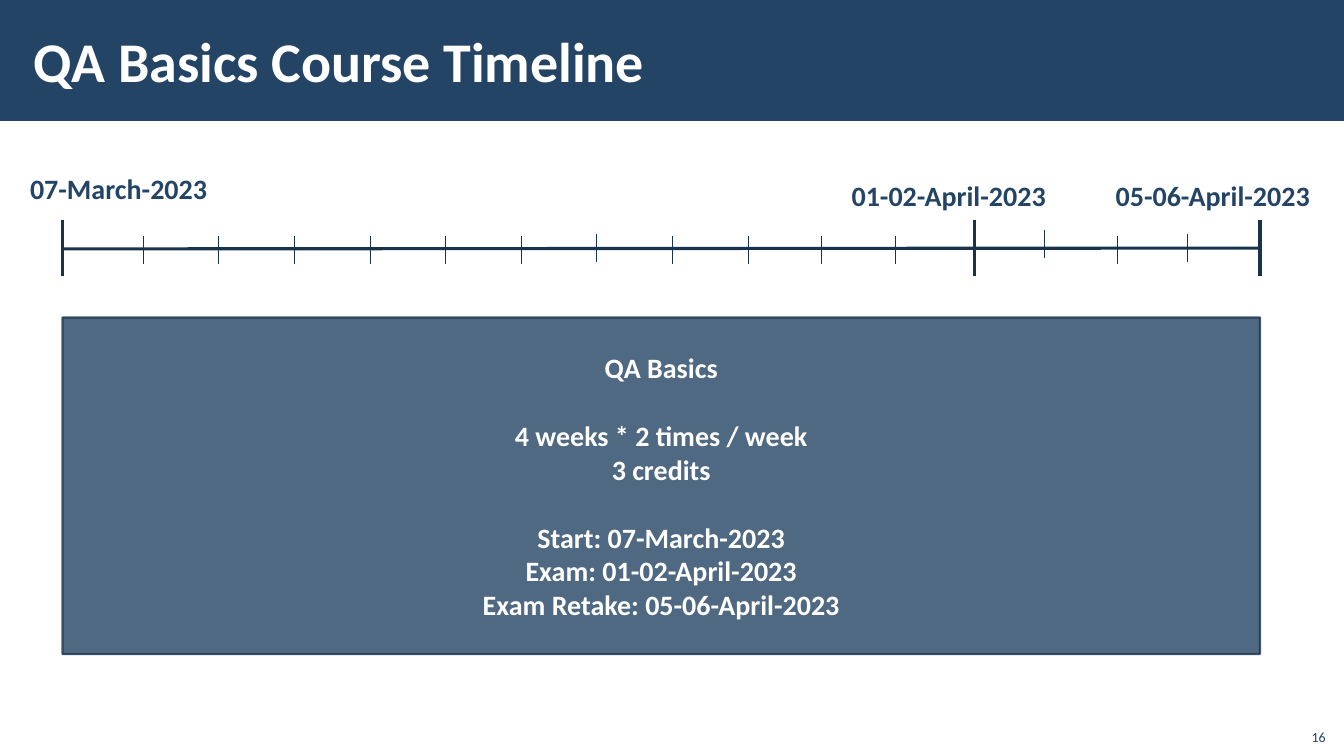
from pptx import Presentation
from pptx.dml.color import RGBColor
from pptx.enum.shapes import MSO_CONNECTOR as Link, MSO_SHAPE as Form
from pptx.enum.text import MSO_ANCHOR as Anchor, MSO_AUTO_SIZE as Fit, PP_ALIGN as Align
from pptx.oxml.ns import qn
from pptx.util import Pt
from lxml.etree import SubElement

NAVY = RGBColor(0x23, 0x44, 0x65)
DARK = RGBColor(0x1A, 0x33, 0x4C)
WHITE = RGBColor(0xFF, 0xFF, 0xFF)

START, EXAM, RETAKE = 44.64, 696.24, 900
AXIS = 177.5
DATES = [
    ("07-March-2023", 14.4, 118.8, 141.84),
    ("01-02-April-2023", 601.2, 123.84, 154.8),
    ("05-06-April-2023", 789.84, 123.84, 156.24),
]
# Class days: an even run first, then the wider-set later ones
DAYS = [102.24 + 54 * n for n in range(9)] + [586.8, 639.36, 745.92, 798.48, 848.16]
RAISED = {6: 1.44, 11: 4.32, 13: 1.44}
# Each line of the course box with the gap above it
COURSE = [
    ("QA Basics", 0),
    ("4 weeks * 2 times / week", 24.4),
    ("3 credits", 0),
    ("Start: 07-March-2023", 24.4),
    ("Exam: 01-02-April-2023", 0),
    ("Exam Retake: 05-06-April-2023", 0),
]


class Deck:
    font = "Calibri"

    def __init__(self, prs):
        self.slide = prs.slides.add_slide(prs.slide_layouts[5])
        self.shapes = self.slide.shapes

    def style(self, para, size, color, bold=True, align=Align.LEFT):
        para.alignment = align
        for run in para.runs:
            font = run.font
            font.name, font.size, font.bold = self.font, Pt(size), bold
            font.color.rgb = color

    def title(self, text, x, y, w, h):
        box = self.shapes.title
        box.left, box.top, box.width, box.height = Pt(x), Pt(y), Pt(w), Pt(h)
        frame = box.text_frame
        frame.text = text
        frame.word_wrap, frame.auto_size = True, Fit.NONE
        frame.vertical_anchor = Anchor.MIDDLE
        frame.margin_left = frame.margin_right = Pt(8.64)
        frame.margin_top = frame.margin_bottom = Pt(3)
        self.style(frame.paragraphs[0], 40, WHITE)
        return box

    def rect(self, x, y, w, h):
        box = self.shapes.add_shape(Form.RECTANGLE, Pt(x), Pt(y), Pt(w), Pt(h))
        box.shadow.inherit = False
        box.fill.solid()
        box.fill.fore_color.rgb = NAVY
        box.line.fill.background()
        return box

    def panel(self, rows, x, y, w, h):
        box = self.rect(x, y, w, h)
        box.line.color.rgb, box.line.width = DARK, Pt(1.5)
        for color in box.element.spPr.iter(qn("a:srgbClr")):
            SubElement(color, qn("a:alpha"), val="80000")
        frame = box.text_frame
        frame.word_wrap, frame.vertical_anchor = True, Anchor.MIDDLE
        frame.text = "\n".join(text for text, _ in rows)
        for para, (_, gap) in zip(frame.paragraphs, rows):
            para.space_before = Pt(gap)
            self.style(para, 20, WHITE, align=Align.CENTER)

    def label(self, text, x, y, w, h=31.68):
        box = self.shapes.add_textbox(Pt(x), Pt(y), Pt(w), Pt(h))
        frame = box.text_frame
        frame.text = text
        frame.word_wrap, frame.auto_size = False, Fit.SHAPE_TO_FIT_TEXT
        self.style(frame.paragraphs[0], 20, NAVY)

    def number(self, text, x, y, w, h):
        box = self.shapes.add_textbox(Pt(x), Pt(y), Pt(w), Pt(h))
        frame = box.text_frame
        frame.text = text
        frame.word_wrap, frame.vertical_anchor = True, Anchor.BOTTOM
        self.style(frame.paragraphs[0], 10, NAVY, bold=False, align=Align.RIGHT)

    def line(self, x1, y1, x2, y2, width):
        link = self.shapes.add_connector(Link.STRAIGHT, Pt(x1), Pt(y1), Pt(x2), Pt(y2))
        link.line.color.rgb, link.line.width = DARK, Pt(width)
        SubElement(link.element.spPr, qn("a:effectLst"))


def main():
    prs = Presentation()
    prs.slide_width, prs.slide_height = Pt(960), Pt(540)
    deck = Deck(prs)

    title = deck.title("QA Basics Course Timeline", 15.12, 7.92, 765.36, 69.84)
    band = deck.rect(0, 0, 960, 86.4)
    title.element.addprevious(band.element)  # keeps the band behind the title

    for date in DATES:
        deck.label(*date)
    deck.panel(COURSE, START, 226.8, RETAKE - START, 240.48)

    deck.line(START, AXIS + 0.3, RETAKE, AXIS - 0.3, 2.25)
    for x in (START, EXAM, RETAKE):
        deck.line(x, 157, x, 197.3, 2.25)
    for n, x in enumerate(DAYS):
        top = 168.5 - RAISED.get(n, 0)
        deck.line(x, top, x, top + 20.3, 0.5)

    deck.number("16", 925.2, 512.64, 28.8, 23.04)
    prs.save("out.pptx")


if __name__ == "__main__":
    main()
